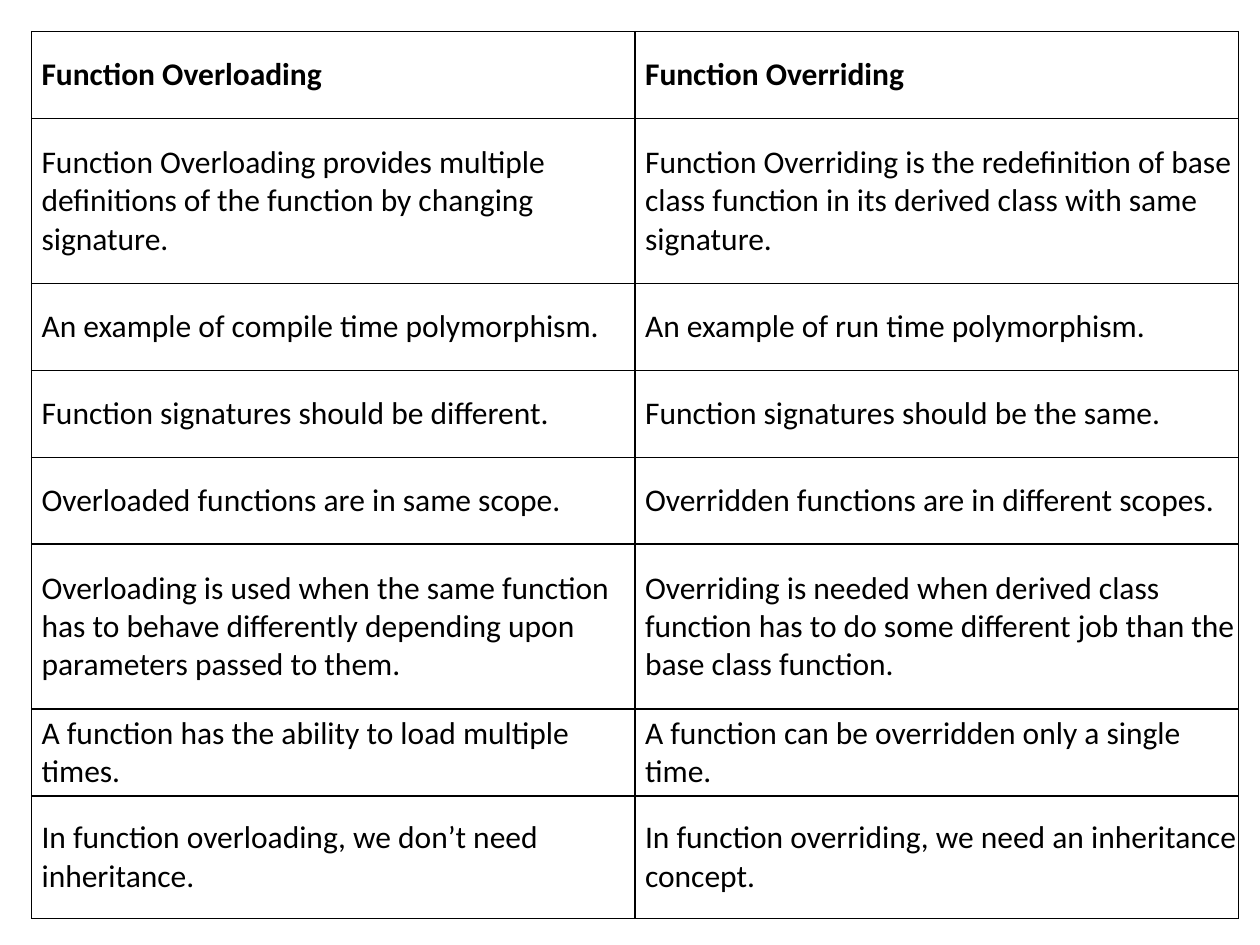
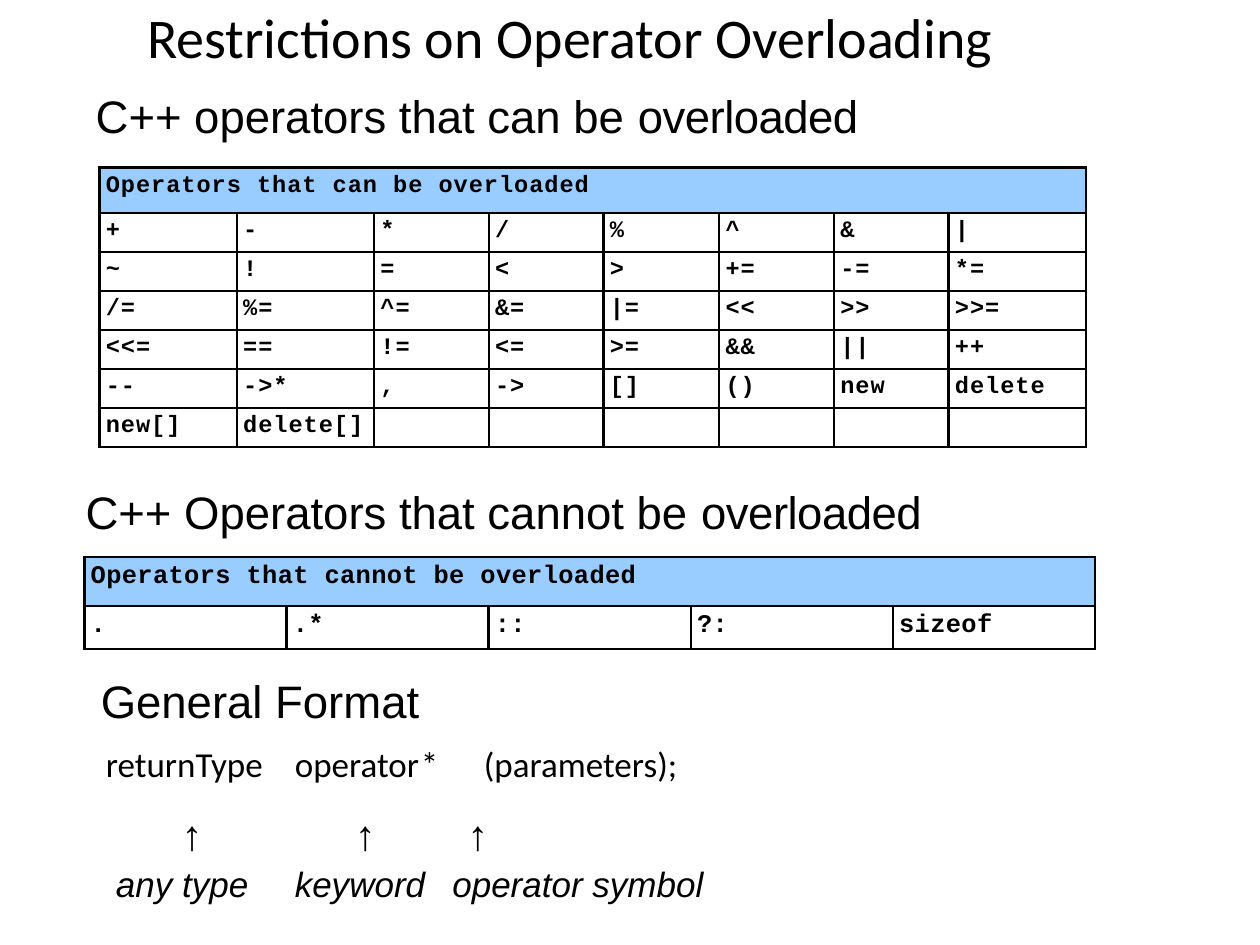
from lxml.etree import SubElement
from pptx import Presentation
from pptx.dml.color import RGBColor
from pptx.enum.text import MSO_ANCHOR, MSO_AUTO_SIZE, PP_ALIGN
from pptx.oxml.ns import qn
from pptx.util import Inches, Pt

BLACK = RGBColor(0x00, 0x00, 0x00)
HEADER_BLUE = RGBColor(0x99, 0xCC, 0xFF)
BODY_FONT = "Calibri"
HEADING_FONT = "Arial"
CODE_FONT = "Courier New"

COMPARISON = [
    ("Function Overloading", "Function Overriding"),
    ("Function Overloading provides multiple definitions of the function by changing signature.",
     "Function Overriding is the redefinition of base class function in its derived class with same signature."),
    ("An example of compile time polymorphism.", "An example of run time polymorphism."),
    ("Function signatures should be different.", "Function signatures should be the same."),
    ("Overloaded functions are in same scope.", "Overridden functions are in different scopes."),
    ("Overloading is used when the same function has to behave differently depending upon parameters passed to them.",
     "Overriding is needed when derived class function has to do some different job than the base class function."),
    ("A function has the ability to load multiple times.",
     "A function can be overridden only a single time."),
    ("In function overloading, we don’t need inheritance.",
     "In function overriding, we need an inheritance concept."),
]
COMPARISON_HEIGHTS = [0.69, 1.31, 0.69, 0.69, 0.69, 1.31, 0.69, 0.97]

OVERLOADABLE = [
    "+ - * / % ^ & |",
    "~ ! = < > += -= *=",
    "/= %= ^= &= |= << >> >>=",
    "<<= == != <= >= && || ++",
    "-- ->* , -> [] () new delete",
    "new[] delete[]",
]
OVERLOADABLE_WIDTHS = [1.09, 1.09, 0.91, 0.91, 0.92, 0.91, 0.91, 1.09]
NOT_OVERLOADABLE = [". .* :: ?: sizeof"]


def add_text(paragraph, text, size=18, font=BODY_FONT, bold=False, italic=False, spacing=0):
    """Append a formatted run to a paragraph."""
    run = paragraph.add_run()
    run.text = text
    run.font.size = Pt(size)
    run.font.name = font
    run.font.bold = bold
    run.font.italic = italic
    run.font.color.rgb = BLACK
    if spacing:
        run.font._element.set("spc", str(round(spacing * 100)))


def format_paragraph(paragraph, indent=0.01, before=0, align=PP_ALIGN.LEFT):
    """Set the left indent, space before and alignment of a paragraph."""
    paragraph.alignment = align
    paragraph.space_before = Pt(before)
    properties = paragraph._p.get_or_add_pPr()
    properties.set("marL", str(Inches(indent)))
    properties.set("indent", "0")


def add_tab_stops(paragraph, positions):
    """Give a paragraph left tab stops at positions in inches."""
    tab_list = SubElement(paragraph._p.get_or_add_pPr(), qn("a:tabLst"))
    for position in positions:
        SubElement(tab_list, qn("a:tab"), pos=str(Inches(position)), algn="l")


def add_text_frame(slide, left, top, width, height, inset=0.01, anchor=MSO_ANCHOR.TOP):
    """Add a wrapping text box and return its text frame."""
    frame = slide.shapes.add_textbox(
        Inches(left), Inches(top), Inches(width), Inches(height)).text_frame
    frame.word_wrap = True
    frame.auto_size = MSO_AUTO_SIZE.SHAPE_TO_FIT_TEXT
    frame.vertical_anchor = anchor
    frame.margin_left = frame.margin_right = frame.margin_bottom = 0
    frame.margin_top = Inches(inset)
    return frame


def add_heading(slide, text, left, top, width, tight_word=""):
    """Add a section heading whose last word may be set tighter."""
    paragraph = add_text_frame(slide, left, top, width, 0.45).paragraphs[0]
    format_paragraph(paragraph, before=1)
    add_text(paragraph, text, size=26, font=HEADING_FONT)
    if tight_word:
        add_text(paragraph, tight_word, size=26, font=HEADING_FONT, spacing=-0.3)


def add_annotation(slide, label, left, width, arrow_indent, align=PP_ALIGN.LEFT):
    """Add an upward arrow above an italic label."""
    frame = add_text_frame(slide, left, 6.38, width, 0.81, inset=0.04)
    arrow = frame.paragraphs[0]
    format_paragraph(arrow, indent=arrow_indent, before=3, align=align)
    add_text(arrow, "↑", size=24, font=HEADING_FONT, bold=True)
    caption = frame.add_paragraph()
    format_paragraph(caption, before=1.8)
    add_text(caption, label, size=20, font=HEADING_FONT, italic=True)


def set_borders(cell, **widths):
    """Draw black cell borders, given as side=width in points."""
    properties = cell._tc.get_or_add_tcPr()
    for side, width in widths.items():
        line = SubElement(properties, qn(f"a:ln{side}"), w=str(Pt(width)))
        fill = SubElement(line, qn("a:solidFill"))
        SubElement(fill, qn("a:srgbClr"), val=str(BLACK))


def add_grid(slide, left, top, widths, heights, border, thin_edges=()):
    """Add an unfilled bordered table with 1 pt lines at the thin row edges."""
    table = slide.shapes.add_table(
        len(heights), len(widths), Inches(left), Inches(top),
        Inches(sum(widths)), Inches(sum(heights))).table
    table.first_row = table.horz_banding = False
    for column, width in zip(table.columns, widths):
        column.width = Inches(width)
    for index, (row, height) in enumerate(zip(table.rows, heights)):
        row.height = Inches(height)
        upper, lower = (1 if edge in thin_edges else border for edge in (index, index + 1))
        for cell in row.cells:
            set_borders(cell, L=border, R=border, T=upper, B=lower)
            cell.fill.background()
    return table


def fill_cell(cell, text, indent, before=0, inset=0, anchor=MSO_ANCHOR.TOP, **text_format):
    """Write formatted text in a table cell."""
    cell.margin_left = cell.margin_right = cell.margin_bottom = 0
    cell.margin_top = Inches(inset)
    cell.vertical_anchor = anchor
    paragraph = cell.text_frame.paragraphs[0]
    format_paragraph(paragraph, indent=indent, before=before)
    if text:
        add_text(paragraph, text, **text_format)
    else:
        SubElement(paragraph._p, qn("a:endParaRPr"), sz=str(round(text_format["size"] * 100)))


def add_operator_table(slide, title, lines, left, top, widths, heights,
                       size, spacing, thin_edges=()):
    """Add a table of operators under a merged blue header."""
    table = add_grid(slide, left, top, widths, heights, 1.5, thin_edges)
    style = dict(indent=0.05, before=2.8, inset=0.04, size=size,
                 font=CODE_FONT, bold=True, spacing=spacing)
    header = table.cell(0, 0)
    header.merge(table.cell(0, len(widths) - 1))
    header.fill.solid()
    header.fill.fore_color.rgb = HEADER_BLUE
    fill_cell(header, title, **style)
    for row, line in enumerate(lines, start=1):
        operators = line.split()
        for column in range(len(widths)):
            operator = operators[column] if column < len(operators) else ""
            fill_cell(table.cell(row, column), operator, **style)


def build_comparison_slide(slide):
    """Compare function overloading with function overriding."""
    table = add_grid(slide, 0.25, 0.25, [4.79] * 2, COMPARISON_HEIGHTS, 1)
    for row, texts in enumerate(COMPARISON):
        for column, text in enumerate(texts):
            fill_cell(table.cell(row, column), text, indent=0.08,
                      anchor=MSO_ANCHOR.MIDDLE, bold=row == 0)


def build_restrictions_slide(slide):
    """Show which operators can be overloaded and the general format."""
    title = add_text_frame(slide, 0.84, 0, 7.36, 0.56, anchor=MSO_ANCHOR.MIDDLE).paragraphs[0]
    format_paragraph(title, before=1.1, align=PP_ALIGN.CENTER)
    add_text(title, "Restrictions on Operator Overloading", size=32)

    add_heading(slide, "C++ operators that can be ", 0.75, 0.69, 6.43, "overloaded")
    add_heading(slide, "C++ Operators that cannot be ", 0.67, 3.83, 7, "overloaded")
    add_operator_table(slide, "Operators that cannot be overloaded", NOT_OVERLOADABLE,
                       0.67, 4.42, [8.02 / 5] * 5, [0.39, 0.34], size=14.5, spacing=0.2)
    add_operator_table(slide, "Operators that can be overloaded", OVERLOADABLE,
                       0.79, 1.33, OVERLOADABLE_WIDTHS, [0.36] + [0.31] * 6,
                       size=13.5, spacing=0.6, thin_edges=(5, 6))

    add_heading(slide, "General Format", 0.79, 5.33, 3.79)
    syntax = add_text_frame(slide, 0.83, 5.92, 6.61, 0.31).paragraphs[0]
    format_paragraph(syntax, before=3.5)
    syntax.line_spacing = 0.89
    add_tab_stops(syntax, [1.51, 2.9, 3.53])
    add_text(syntax, "returnType\toperator\t*\t(parameters);", size=20)
    add_annotation(slide, "any type", 0.91, 1.08, 0.15, PP_ALIGN.CENTER)
    add_annotation(slide, "keyword", 2.33, 1.07, 0.07, PP_ALIGN.CENTER)
    add_annotation(slide, "operator symbol", 3.58, 2.02, 0.13)


def main():
    """Build and save the presentation."""
    presentation = Presentation()
    presentation.slide_width = Inches(10)
    presentation.slide_height = Inches(7.5)
    blank_layout = presentation.slide_layouts[6]
    for build_slide in (build_comparison_slide, build_restrictions_slide):
        build_slide(presentation.slides.add_slide(blank_layout))
    presentation.save("out.pptx")


if __name__ == "__main__":
    main()
